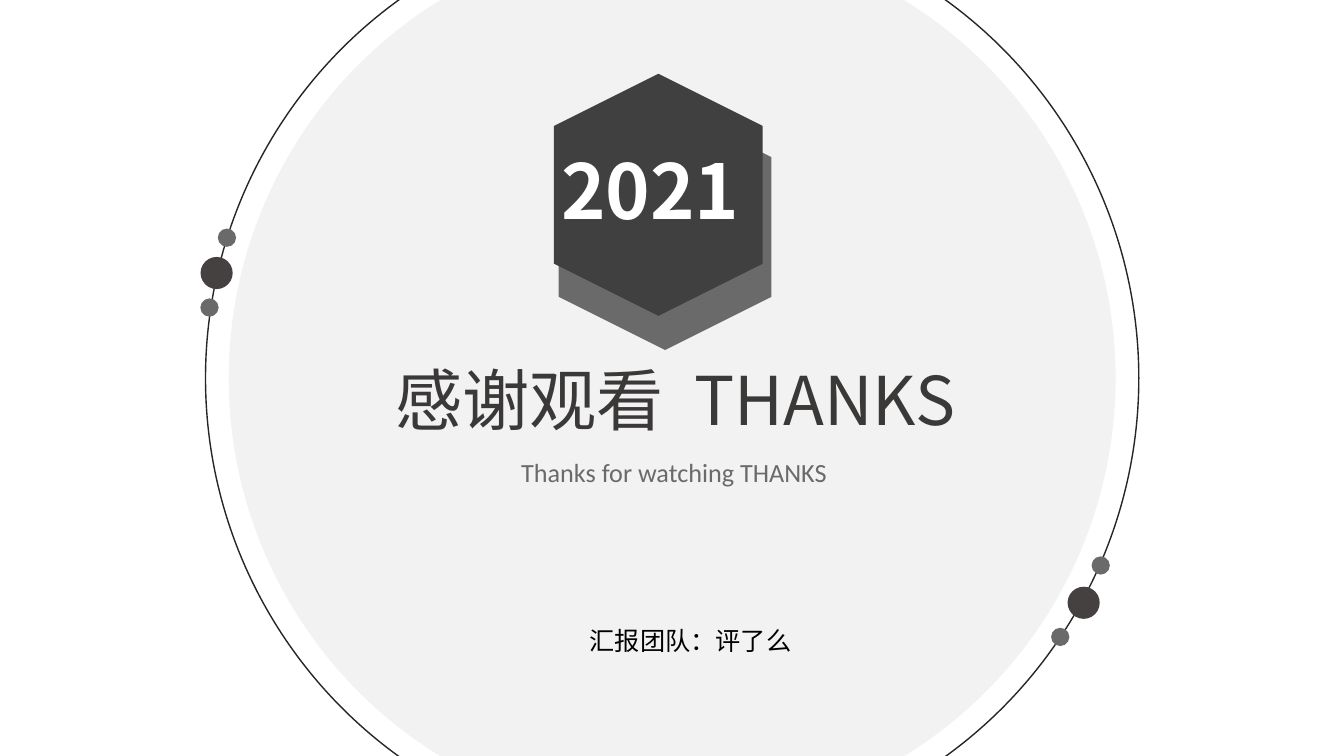
from lxml import etree
from pptx import Presentation, util as u
from pptx.dml.color import RGBColor
from pptx.enum import shapes, text
from pptx.oxml import ns

WHITE = RGBColor(0xFF, 0xFF, 0xFF)
BLACK = RGBColor(0x00, 0x00, 0x00)
PALE = RGBColor(0xF2, 0xF2, 0xF2)
GREY = RGBColor(0x6A, 0x6A, 0x6A)
CHARCOAL = RGBColor(0x40, 0x40, 0x40)
BROWN = RGBColor(0x45, 0x41, 0x41)
INK = RGBColor(0x3B, 0x38, 0x38)
RING = RGBColor(0x26, 0x26, 0x26)

SC, JP, LATIN = "Noto Sans CJK SC", "Noto Sans CJK JP", "Calibri"
ELLIPSE = shapes.MSO_SHAPE.OVAL
HEXAGON = shapes.MSO_SHAPE.HEXAGON
CENTER = text.PP_ALIGN.CENTER
LEFT = text.PP_ALIGN.LEFT


class ClosingSlide:
    def __init__(self, deck):
        self.slide = deck.slides.add_slide(deck.slide_layouts[0])

    def figure(self, kind, center, width, height, fill=None, line=None, turn=0):
        x, y = center
        figure = self.slide.shapes.add_shape(
            kind, u.Cm(x - width / 2), u.Cm(y - height / 2), u.Cm(width), u.Cm(height))
        figure.shadow.inherit = False
        figure.rotation = turn
        if fill is None:
            figure.fill.background()
        else:
            figure.fill.solid()
            figure.fill.fore_color.rgb = fill
        if line is None:
            figure.line.fill.background()
        else:
            figure.line.color.rgb = line
            figure.line.width = u.Pt(1)

    def circle(self, center, diameter, fill=None, line=None):
        self.figure(ELLIPSE, center, diameter, diameter, fill, line)

    def beads(self, first, middle, last):
        self.circle(first, 0.46, GREY)
        self.circle(middle, 0.81, BROWN)
        self.circle(last, 0.46, GREY)

    def caption(self, box, pieces, size, font, color,
                bold=False, align=CENTER, wrap=True, holder=None):
        left, top, width, height = (u.Cm(side) for side in box)
        if holder is None:
            holder = self.slide.shapes.add_textbox(left, top, width, height)
        else:
            tree = holder.element.getparent()
            tree.append(holder.element)
            holder.left, holder.top = left, top
            holder.width, holder.height = width, height
        frame = holder.text_frame
        frame.word_wrap = wrap
        frame.auto_size = text.MSO_AUTO_SIZE.SHAPE_TO_FIT_TEXT
        frame.vertical_anchor = text.MSO_ANCHOR.TOP
        paragraph = frame.paragraphs[0]
        paragraph.alignment = align
        paragraph.line_spacing = 1.0
        paragraph.space_before = u.Pt(0)
        for words, spacing in pieces:
            run = paragraph.add_run()
            run.text = words
            run.font.size = u.Pt(size)
            run.font.bold = bold
            run.font.color.rgb = color
            run.font.name = font
            properties = run.font._element
            etree.SubElement(properties, ns.qn("a:ea")).set("typeface", font)
            if spacing:
                properties.set("spc", str(spacing))


def main():
    deck = Presentation()
    deck.slide_width, deck.slide_height = u.Cm(33.87), u.Cm(19.05)
    closing = ClosingSlide(deck)
    title, subtitle = closing.slide.placeholders

    middle = (16.94, 9.53)
    closing.circle(middle, 22.35, fill=PALE)
    closing.circle(middle, 23.52, line=RING)
    closing.beads((5.72, 5.99), (5.46, 6.88), (5.28, 7.75))
    closing.beads((27.74, 14.25), (27.31, 15.19), (26.72, 16.05))

    closing.figure(HEXAGON, (16.76, 5.72), 6.2, 5.36, GREY, turn=90)
    closing.figure(HEXAGON, (16.59, 4.91), 6.1, 5.26, CHARCOAL, turn=90)
    closing.caption((13.89, 3.51, 5.26, 2.57), [("2021", 0)], 54, SC, WHITE,
                    bold=True, align=LEFT, wrap=False)
    closing.caption((12.09, 15.62, 10.62, 1.02), [("汇报团队：评了么", 0)], 18, SC, BLACK)
    closing.caption((8.13, 8.89, 17.78, 2.31),
                    [("感谢观看", 0), (" ", 1075), ("THANKS", 0)],
                    48, JP, INK, wrap=False, holder=title)
    closing.caption((6.05, 11.38, 21.87, 1.07), [("Thanks for watching THANKS", 0)],
                    18.7, LATIN, GREY, holder=subtitle)
    deck.save("out.pptx")


if __name__ == "__main__":
    main()
